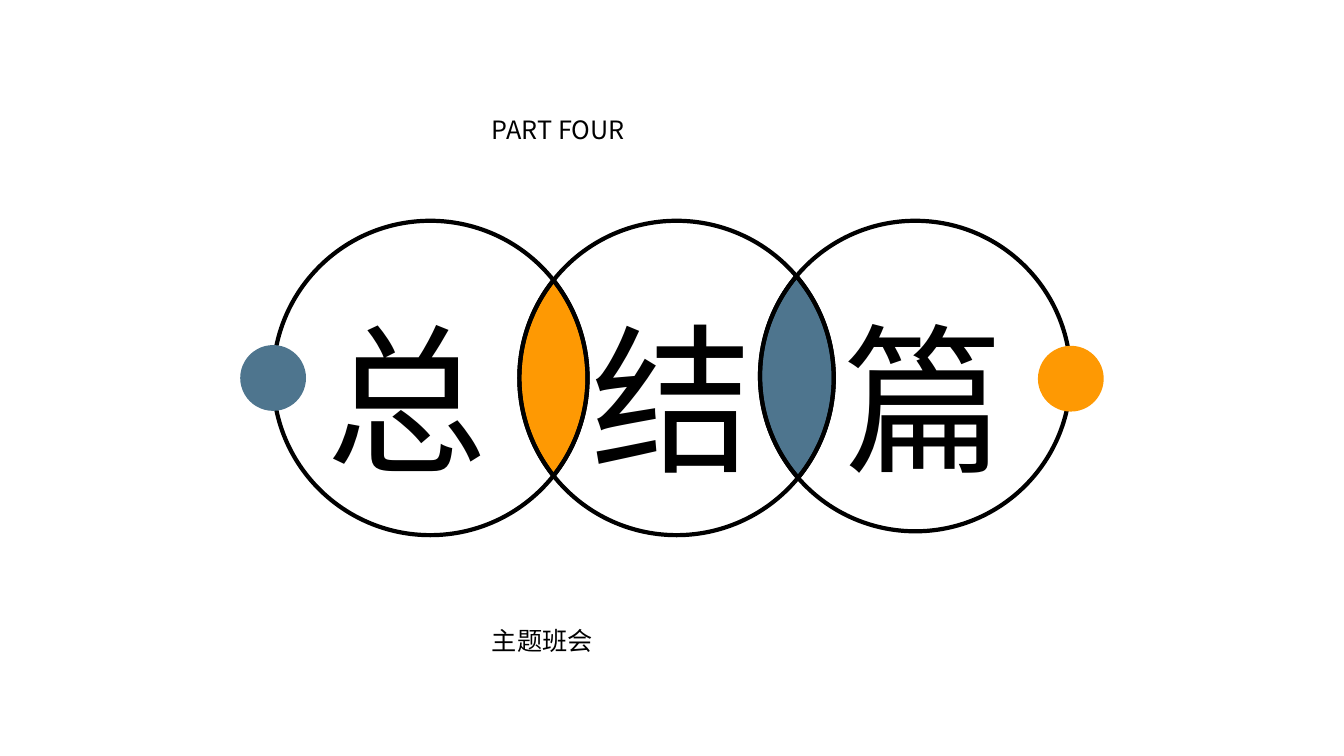
from dataclasses import dataclass
from math import atan2, ceil, cos, floor, hypot, pi, sin, tan

from lxml.etree import Element, SubElement
from pptx import Presentation
from pptx.dml.color import RGBColor
from pptx.enum.shapes import MSO_SHAPE
from pptx.enum.text import MSO_ANCHOR, MSO_AUTO_SIZE, PP_ALIGN
from pptx.oxml.ns import qn
from pptx.shapes.autoshape import Shape
from pptx.shapes.shapetree import SlideShapes
from pptx.util import Pt

Point = tuple[float, float]
Curve = tuple[Point, Point, Point]


@dataclass(frozen=True)
class Theme:
    ink: RGBColor = RGBColor(0x00, 0x00, 0x00)
    orange: RGBColor = RGBColor(0xFE, 0x99, 0x03)
    blue: RGBColor = RGBColor(0x4E, 0x75, 0x8E)
    font: str = "Noto Sans CJK JP"
    caption_size: float = 18
    character_size: float = 115
    outline: float = 3


@dataclass(frozen=True)
class Ring:
    x: float
    y: float
    radius: float

    def at(self, angle: float, handle: float = 0) -> Point:
        """Point on the ring, moved along its tangent by handle radii."""
        return (self.x + self.radius * (cos(angle) - handle * sin(angle)),
                self.y + self.radius * (sin(angle) + handle * cos(angle)))

    def arc(self, start: Point, end: Point, clockwise: bool = True) -> list[Curve]:
        """Bézier curves from start to end, split at the ring's outermost points."""
        if not clockwise:
            return [(c2, c1, before) for before, c1, c2 in self.reversed_arc(end, start)]
        return [curve[1:] for curve in self.pieces(start, end)]

    def reversed_arc(self, start: Point, end: Point) -> list[Curve]:
        return [curve[:3] for curve in reversed(self.pieces(start, end))]

    def pieces(self, start: Point, end: Point) -> list[tuple[Point, Point, Point, Point]]:
        first, last = (atan2(py - self.y, px - self.x) for px, py in (start, end))
        last = first + (last - first) % (2 * pi)
        quarter = pi / 2
        splits = [n * quarter for n in range(ceil(first / quarter), floor(last / quarter) + 1)]
        angles = [first, *splits, last]
        curves = []
        for a, b in zip(angles, angles[1:]):
            handle = 4 / 3 * tan((b - a) / 4)
            curves.append((self.at(a), self.at(a, handle), self.at(b, -handle), self.at(b)))
        return curves

    def crossings(self, right: "Ring") -> tuple[Point, Point]:
        """Upper and lower crossing with the ring to the right."""
        dx, dy = right.x - self.x, right.y - self.y
        gap = hypot(dx, dy)
        along = (gap**2 + self.radius**2 - right.radius**2) / (2 * gap)
        across = (self.radius**2 - along**2) ** 0.5
        foot_x, foot_y = self.x + along * dx / gap, self.y + along * dy / gap
        shift_x, shift_y = across * dy / gap, across * dx / gap
        return (foot_x + shift_x, foot_y - shift_y), (foot_x - shift_x, foot_y + shift_y)


@dataclass(frozen=True)
class Region:
    outline: list[Curve]
    fill: RGBColor | None = None


@dataclass(frozen=True)
class Dot:
    left: float
    top: float
    fill: RGBColor


@dataclass(frozen=True)
class Label:
    text: str
    left: float
    top: float
    width: float
    height: float
    size: float
    align: PP_ALIGN


THEME = Theme()
DOT_SIZE = 47
CHARACTER_TOP, CHARACTER_WIDTH, CHARACTER_HEIGHT = 210.2, 134.6, 146.9

DOTS = [Dot(171.6, 246.5, THEME.blue), Dot(741.4, 247, THEME.orange)]
PART = Label("PART FOUR", 344.2, 78.1, 271.4, 28.8, THEME.caption_size, PP_ALIGN.JUSTIFY)
OCCASION = Label("主题班会", 344.2, 442.8, 315.4, 28.8, THEME.caption_size, PP_ALIGN.JUSTIFY)
CHARACTERS = [
    Label(character, left, CHARACTER_TOP, CHARACTER_WIDTH, CHARACTER_HEIGHT,
          THEME.character_size, PP_ALIGN.LEFT)
    for character, left in zip("总结篇", (226.1, 415.4, 595.4))
]


def interlocked_regions() -> list[Region]:
    left = Ring(307.4, 270, 112.3)
    middle = Ring(483.3, 270, 112.3)
    right = Ring(653.8, 268.6, 110.9)
    top_1, bottom_1 = left.crossings(middle)
    top_2, bottom_2 = middle.crossings(right)
    return [
        Region(left.arc(top_1, bottom_1) + middle.arc(bottom_1, top_1), THEME.orange),
        Region(left.arc(bottom_1, top_1) + middle.arc(top_1, bottom_1, False)),
        Region(middle.arc(top_2, bottom_2) + right.arc(bottom_2, top_2), THEME.blue),
        Region(middle.arc(top_1, top_2) + right.arc(top_2, bottom_2, False)
               + middle.arc(bottom_2, bottom_1) + left.arc(bottom_1, top_1, False)),
        Region(right.arc(top_2, bottom_2) + middle.arc(bottom_2, top_2, False)),
    ]


def bend_sides(shape: Shape, curves: list[Curve]) -> None:
    """Turn each straight side of the freeform into its Bézier curve."""
    sides = list(shape._element.iter(qn("a:lnTo")))
    for side, curve in zip(sides, curves):
        bend = Element(qn("a:cubicBezTo"))
        for x, y in curve:
            SubElement(bend, qn("a:pt"), x=str(Pt(x) - shape.left), y=str(Pt(y) - shape.top))
        side.getparent().replace(side, bend)


def draw_region(shapes: SlideShapes, region: Region) -> None:
    corners = [(Pt(x), Pt(y)) for _, _, (x, y) in region.outline]
    builder = shapes.build_freeform(*corners[-1])
    builder.add_line_segments(corners, close=True)
    shape = builder.convert_to_shape()
    bend_sides(shape, region.outline)
    shape.shadow.inherit = False
    if region.fill is None:
        shape.fill.background()
    else:
        shape.fill.solid()
        shape.fill.fore_color.rgb = region.fill
    shape.line.color.rgb = THEME.ink
    shape.line.width = Pt(THEME.outline)


def draw_dot(shapes: SlideShapes, dot: Dot) -> None:
    shape = shapes.add_shape(MSO_SHAPE.OVAL, Pt(dot.left), Pt(dot.top), Pt(DOT_SIZE), Pt(DOT_SIZE))
    shape.shadow.inherit = False
    shape.fill.solid()
    shape.fill.fore_color.rgb = dot.fill
    shape.line.fill.background()


def write_label(shape: Shape, label: Label) -> None:
    shape.left, shape.top = Pt(label.left), Pt(label.top)
    shape.width, shape.height = Pt(label.width), Pt(label.height)
    frame = shape.text_frame
    frame.text = label.text
    frame.word_wrap = True
    frame.auto_size = MSO_AUTO_SIZE.SHAPE_TO_FIT_TEXT
    frame.vertical_anchor = MSO_ANCHOR.TOP
    paragraph = frame.paragraphs[0]
    paragraph.alignment = label.align
    for run in paragraph.runs:
        run.font.size = Pt(label.size)
        run.font.color.rgb = THEME.ink
        run.font.name = THEME.font
        SubElement(run._r.get_or_add_rPr(), qn("a:ea"), typeface=THEME.font)


def main() -> None:
    presentation = Presentation()
    presentation.slide_width, presentation.slide_height = Pt(960), Pt(540)
    title_only = presentation.slide_layouts.get_by_name("Title Only")
    shapes = presentation.slides.add_slide(title_only).shapes

    for region in interlocked_regions():
        draw_region(shapes, region)
    for dot in DOTS:
        draw_dot(shapes, dot)
    write_label(shapes.title, PART)
    for label in [OCCASION, *CHARACTERS]:
        write_label(shapes.add_textbox(0, 0, 0, 0), label)

    presentation.save("out.pptx")


if __name__ == "__main__":
    main()
